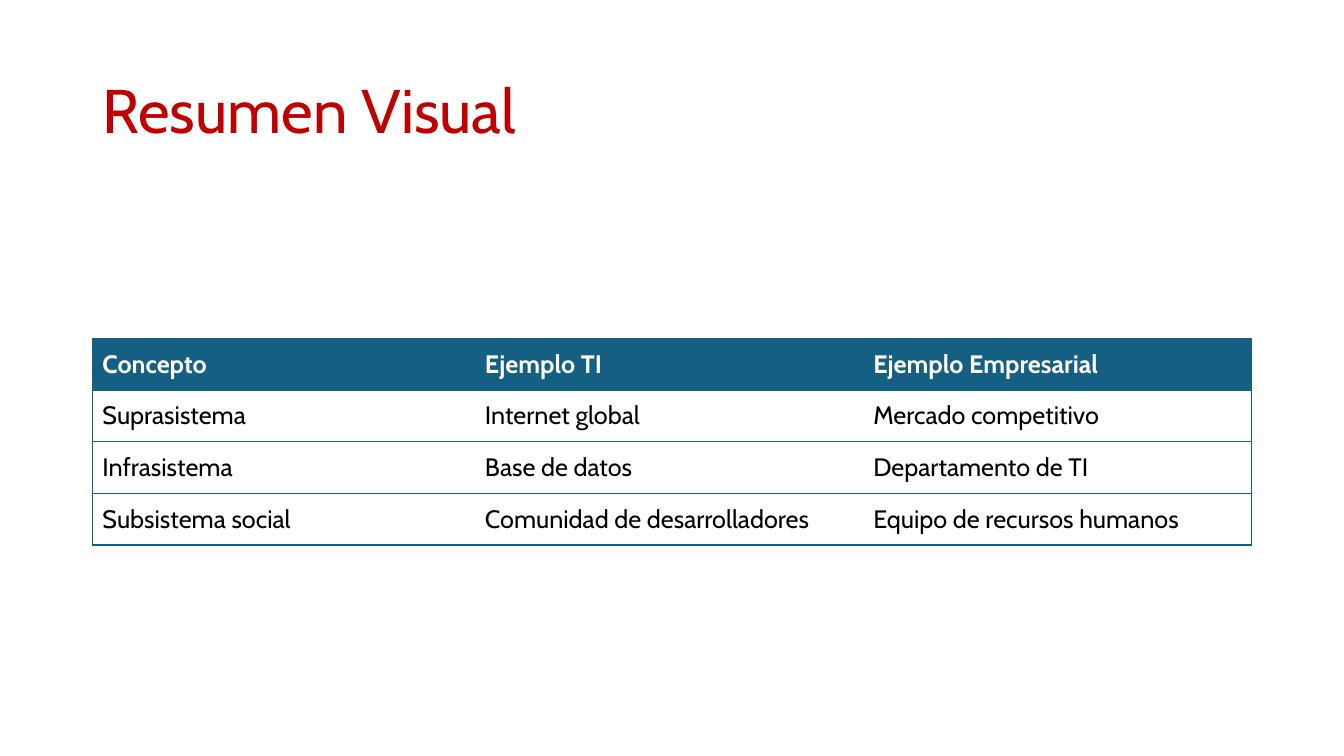
from lxml import etree
from pptx import Presentation
from pptx.dml.color import RGBColor
from pptx.enum import text
from pptx.oxml import ns
from pptx.util import Pt

COLORS = {"title": "C00000", "accent": "156082", "paper": "FFFFFF", "ink": "000000"}
FONT = "Cabin"
ROWS = [
    ("Concepto", "Ejemplo TI", "Ejemplo Empresarial"),
    ("Suprasistema", "Internet global", "Mercado competitivo"),
    ("Infrasistema", "Base de datos", "Departamento de TI"),
    ("Subsistema social", "Comunidad de desarrolladores", "Equipo de recursos humanos"),
]
COLUMN_SHARES = (0.33, 0.335, 0.335)


def format_runs(paragraph, size, color, bold=False):
    for run in paragraph.runs:
        run.font.name = FONT
        run.font.size = Pt(size)
        run.font.bold = bold
        run.font.color.rgb = RGBColor.from_string(COLORS[color])


def set_border(cell, side, visible):
    properties = cell._tc.get_or_add_tcPr()
    line = etree.SubElement(properties, ns.qn(f"a:ln{side}"), w=str(Pt(1)))
    if visible:
        fill = etree.SubElement(line, ns.qn("a:solidFill"))
        etree.SubElement(fill, ns.qn("a:srgbClr"), val=COLORS["accent"])
    else:
        etree.SubElement(line, ns.qn("a:noFill"))


def add_title(slide, left, top, width, height):
    shape = slide.shapes.add_textbox(Pt(left), Pt(top), Pt(width), Pt(height))
    text_frame = shape.text_frame
    text_frame.word_wrap = True
    text_frame.vertical_anchor = text.MSO_ANCHOR.MIDDLE
    text_frame.text = "Resumen Visual"
    paragraph = text_frame.paragraphs[0]
    paragraph.line_spacing = 0.9
    format_runs(paragraph, 44, "title")


def add_summary_table(slide, left, top, width, height):
    shape = slide.shapes.add_table(
        len(ROWS), len(COLUMN_SHARES), Pt(left), Pt(top), Pt(width), Pt(height))
    table = shape.table
    table.horz_banding = False
    for column, share in zip(table.columns, COLUMN_SHARES):
        column.width = Pt(width * share)

    for row_index, row in enumerate(ROWS):
        header = row_index == 0
        for column_index, label in enumerate(row):
            cell = table.cell(row_index, column_index)
            cell.text = label
            cell.vertical_anchor = text.MSO_ANCHOR.MIDDLE
            cell.margin_left = cell.margin_right = Pt(7.2)
            cell.margin_top = cell.margin_bottom = Pt(7.2)
            # Outer frame and horizontal rules only
            set_border(cell, "L", column_index == 0)
            set_border(cell, "R", column_index == len(row) - 1)
            set_border(cell, "T", True)
            set_border(cell, "B", True)
            cell.fill.solid()
            cell.fill.fore_color.rgb = RGBColor.from_string(
                COLORS["accent" if header else "paper"])
            format_runs(cell.text_frame.paragraphs[0], 18,
                        "paper" if header else "ink", header)


def main():
    presentation = Presentation()
    presentation.slide_width = Pt(960)
    presentation.slide_height = Pt(540)
    slide = presentation.slides.add_slide(presentation.slide_layouts[6])
    add_title(slide, 66, 28.75, 828, 104.4)
    add_summary_table(slide, 66, 241.8, 828, 147.6)
    presentation.save("out.pptx")


if __name__ == "__main__":
    main()
